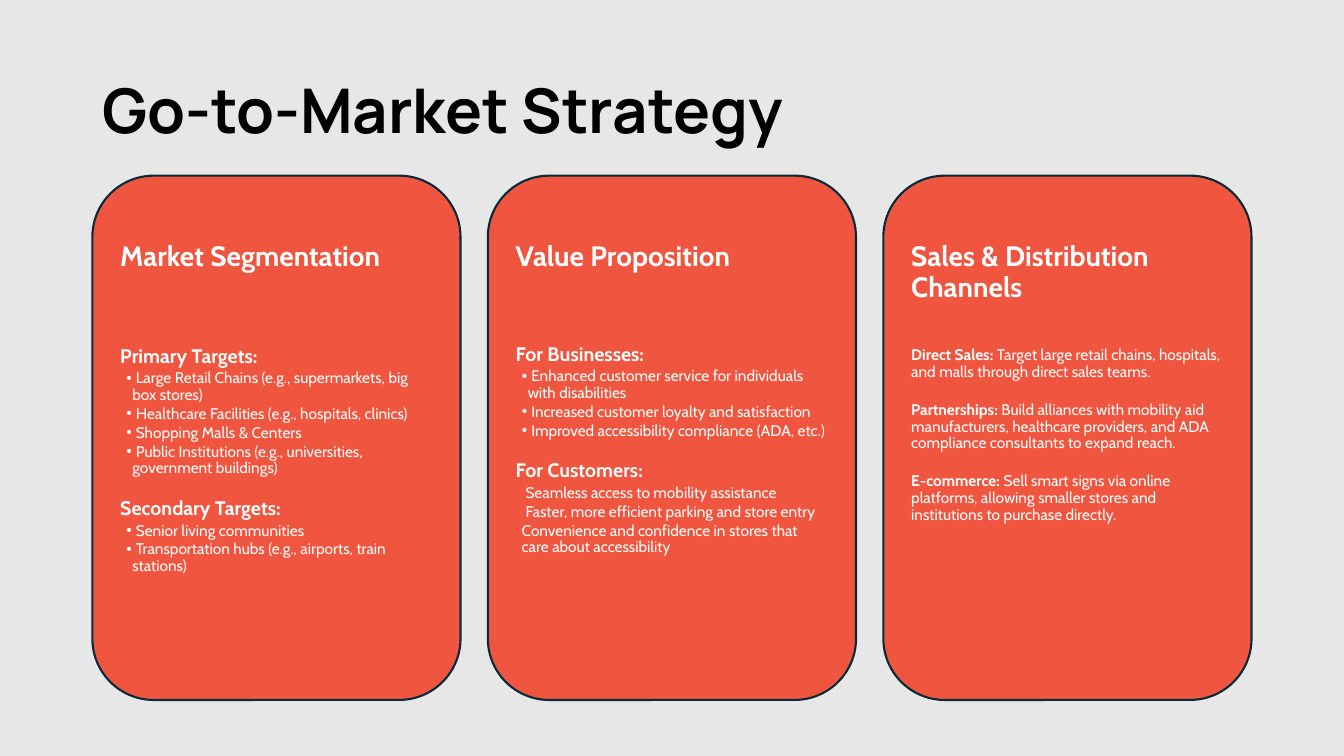
from dataclasses import dataclass

from lxml.etree import SubElement
from pptx import Presentation
from pptx.dml.color import RGBColor
from pptx.enum.shapes import MSO_SHAPE
from pptx.enum.text import MSO_ANCHOR, PP_ALIGN
from pptx.oxml.ns import qn
from pptx.util import Pt


@dataclass(frozen=True)
class Theme:
    """Colours, fonts and type sizes of the slide."""
    back: str = "E7E7E7"
    card: str = "F0563F"
    edge: str = "092A39"
    ink: str = "000000"
    pale: str = "FFFFFF"
    title: str = "Manrope"
    body: str = "Cabin"
    huge: int = 44
    head: int = 20
    sub: int = 14
    text: int = 11


class Deck:
    """Holds the theme and the current slide."""

    def __init__(self, theme):
        """Open a blank slide with a plain background."""
        self.theme = theme
        self.file = Presentation()
        self.file.slide_width, self.file.slide_height = Pt(960), Pt(540)
        self.slide = self.file.slides.add_slide(self.file.slide_layouts[6])
        fill = self.slide.background.fill
        fill.solid()
        fill.fore_color.rgb = RGBColor.from_string(theme.back)

    def style(self, run, face, size, color, bold):
        """Set the font of one run."""
        font = run.font
        font.name, font.size, font.bold = face, Pt(size), bold
        font.color.rgb = RGBColor.from_string(color)

    def title(self, text, left, top, width, height):
        """Add the slide title."""
        frame = self.slide.shapes.add_textbox(
            Pt(left), Pt(top), Pt(width), Pt(height)).text_frame
        frame.word_wrap = True
        frame.vertical_anchor = MSO_ANCHOR.MIDDLE
        frame.text = text
        para = frame.paragraphs[0]
        para.line_spacing = 0.9
        self.style(para.runs[0], self.theme.title, self.theme.huge,
                   self.theme.ink, True)

    def line(self, para, kind, text, after):
        """Fill one paragraph of a card."""
        theme = self.theme
        size = {"head": theme.head, "sub": theme.sub}.get(kind, theme.text)
        lead, mark, rest = text.partition(":")
        para.text = {"pair": lead + mark, "dot": " " + text}.get(kind, text)
        if kind == "pair":
            para.add_run().text = rest
        para.alignment = PP_ALIGN.LEFT
        para.line_spacing = 0.9
        para.space_after = Pt(after or 0.15 * size)
        for spot, run in enumerate(para.runs):
            bold = kind in ("head", "sub", "pair") and spot == 0
            self.style(run, theme.body, size, theme.pale, bold)
        self.indent(para, kind)

    def indent(self, para, kind):
        """Set the indent and bullet that belong to a kind of line."""
        left, first = {"dot": (8.64, -4.32), "near": (4.32, 0),
                       "far": (7, 0)}.get(kind, (0, 0))
        props = para._p.get_or_add_pPr()
        props.set("marL", str(Pt(left)))
        props.set("indent", str(Pt(first)))
        if kind == "dot":
            SubElement(props, qn("a:buFont")).set("typeface", "Arial")
            SubElement(props, qn("a:buChar")).set("char", "•")

    def card(self, left, top, width, height, head, gap, parts):
        """Add a rounded card with a heading and groups of lines."""
        shape = self.slide.shapes.add_shape(
            MSO_SHAPE.ROUNDED_RECTANGLE,
            Pt(left), Pt(top), Pt(width), Pt(height))
        shape.shadow.inherit = False
        shape.fill.solid()
        shape.fill.fore_color.rgb = RGBColor.from_string(self.theme.card)
        shape.line.color.rgb = RGBColor.from_string(self.theme.edge)
        shape.line.width = Pt(1.5)
        frame = shape.text_frame
        frame.word_wrap = True
        frame.vertical_anchor = MSO_ANCHOR.TOP
        frame.margin_top = Pt(35)
        self.line(frame.paragraphs[0], "head", head, gap)
        for part in parts:
            for spot, (kind, text) in enumerate(part, 1):
                after = 15.3 if spot == len(part) else None
                self.line(frame.add_paragraph(), kind, text, after)


CARDS = [
    ("Market Segmentation", 52.5, [
        [("sub", "Primary Targets:"),
         ("dot", "Large Retail Chains (e.g., supermarkets, big box stores)"),
         ("dot", "Healthcare Facilities (e.g., hospitals, clinics)"),
         ("dot", "Shopping Malls & Centers"),
         ("dot", "Public Institutions (e.g., universities, "
                 "government buildings)")],
        [("sub", "Secondary Targets:"),
         ("dot", "Senior living communities"),
         ("dot", "Transportation hubs (e.g., airports, train stations)")],
    ]),
    ("Value Proposition", 51, [
        [("sub", "For Businesses:"),
         ("dot", "Enhanced customer service for individuals "
                 "with disabilities"),
         ("dot", "Increased customer loyalty and satisfaction"),
         ("dot", "Improved accessibility compliance (ADA, etc.)")],
        [("sub", "For Customers:"),
         ("far", "Seamless access to mobility assistance"),
         ("far", "Faster, more efficient parking and store entry"),
         ("near", "Convenience and confidence in stores that "
                  "care about accessibility")],
    ]),
    ("Sales & Distribution Channels", 31.7, [
        [("pair", "Direct Sales: Target large retail chains, hospitals, "
                  "and malls through direct sales teams.")],
        [("pair", "Partnerships: Build alliances with mobility aid "
                  "manufacturers, healthcare providers, and ADA "
                  "compliance consultants to expand reach.")],
        [("pair", "E-commerce: Sell smart signs via online platforms, "
                  "allowing smaller stores and institutions to "
                  "purchase directly.")],
    ]),
]


def main():
    """Build the slide and save it."""
    deck = Deck(Theme())
    deck.title("Go-to-Market Strategy", 66, 28.8, 828, 104.4)
    for spot, (head, gap, parts) in enumerate(CARDS):
        deck.card(66 + 282.5 * spot, 125.5, 263, 374.5, head, gap, parts)
    deck.file.save("out.pptx")


if __name__ == "__main__":
    main()
